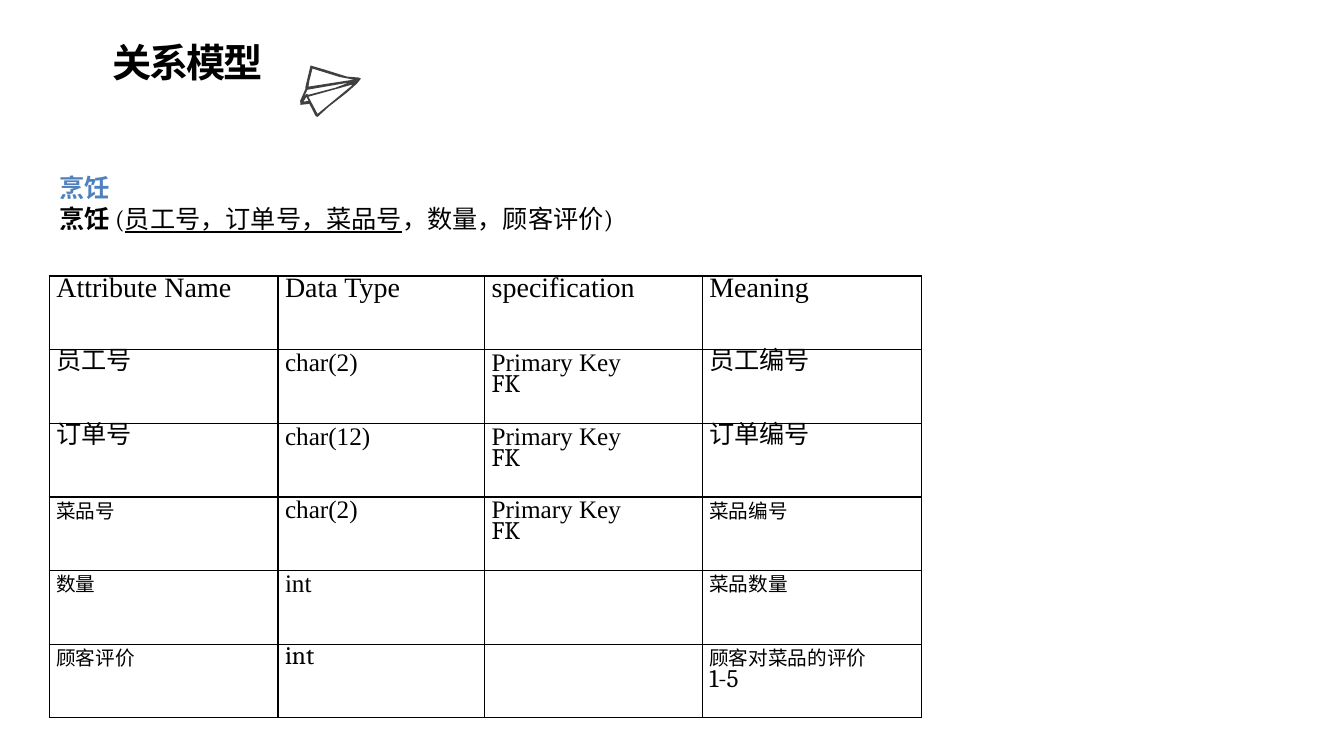
"""Build the relational model slide for the cooking relation."""
import pptx
import pptx.dml.color
import pptx.enum.text
import pptx.oxml
import pptx.oxml.ns
import pptx.util

Pt = pptx.util.Pt
ALIGN = pptx.enum.text.PP_ALIGN
ANCHOR = pptx.enum.text.MSO_ANCHOR
HAN, SERIF, ROMAN = "Noto Sans CJK SC", "Cambria", "Times New Roman"
BLACK, BLUE, GREY = "000000", "4F81BD", "404040"

TITLE = [[("关系模型", HAN, 28, BLACK, {"bold": True})]]
RELATION = [
    [("烹饪", HAN, 18, BLUE, {"bold": True})],
    [
        ("烹饪", SERIF, 18, BLACK, {"bold": True}),
        (" (", SERIF, 18, BLACK, {}),
        ("员工号，订单号，菜品号", SERIF, 18, BLACK, {"underline": True}),
        ("，数量，顾客评价)", SERIF, 18, BLACK, {}),
    ],
]

HEAD, LARGE, SMALL, TYPE, NOTE = (ROMAN, 20), (HAN, 18), (HAN, 14), (ROMAN, 18), (SERIF, 18)
KEY = [("Primary Key", TYPE), ("FK", NOTE)]
ATTRIBUTES = [
    [[(name, HEAD)] for name in ("Attribute Name", "Data Type", "specification", "Meaning")],
    [[("员工号", LARGE)], [("char(2)", TYPE)], KEY, [("员工编号", LARGE)]],
    [[("订单号", LARGE)], [("char(12)", TYPE)], KEY, [("订单编号", LARGE)]],
    [[("菜品号", SMALL)], [("char(2)", TYPE)], KEY, [("菜品编号", SMALL)]],
    [[("数量", SMALL)], [("int", TYPE)], [], [("菜品数量", SMALL)]],
    [[("顾客评价", SMALL)], [("int ", NOTE)], [], [("顾客对菜品的评价", SMALL), ("1-5", NOTE)]],
]
COLUMN_WIDTHS = [163.4, 147.6, 155.5, 156.3]
ROW_HEIGHT = 52.6
TABLE_LEFT, TABLE_TOP = 35.2, 197.2

PLANE = [
    [(257.8, 56.2), (254.9, 59.8), (247.7, 66.2), (234.7, 76.3), (226.8, 83.5),
     (225.4, 82.8), (221, 74.2), (214.6, 74.9), (214.4, 72), (218.2, 63.4),
     (218.2, 61.9), (221.8, 46.8), (231.8, 49.7), (247.7, 54.7), (256.3, 55.4)],
    [(223.2, 49), (221, 57.6), (220.3, 61.9), (243.4, 58.3), (252.7, 56.9), (242.6, 55)],
    [(220.3, 69.1), (226.8, 81.4), (251.3, 61.2), (251.3, 60.5)],
    [(219.6, 64.1), (216.7, 69.8), (218.9, 67), (220.3, 67.7), (239.8, 62.6), (249.1, 59)],
    [(216.7, 72.7), (220.3, 72), (218.9, 69.1)],
]


def colour(hex_code):
    return pptx.dml.color.RGBColor.from_string(hex_code)


def apply(target, values):
    for name, value in values.items():
        setattr(target, name, value)


def add_run(paragraph, text, font_name, size, hex_code, extra):
    run = paragraph.add_run()
    run.text = text
    apply(run.font, {"name": font_name, "size": Pt(size), "bold": False, **extra})
    run.font.color.rgb = colour(hex_code)
    east_asian = pptx.oxml.parse_xml(
        f'<a:ea {pptx.oxml.ns.nsdecls("a")} typeface="{HAN}"/>')
    run._r.get_or_add_rPr().append(east_asian)
    return run


def write(frame, paragraphs, layout):
    for index, runs in enumerate(paragraphs):
        paragraph = frame.add_paragraph() if index else frame.paragraphs[0]
        apply(paragraph, layout)
        for run in runs:
            add_run(paragraph, *run)


def add_text(slide, box, paragraphs, frame_values, layout):
    frame = slide.shapes.add_textbox(*map(Pt, box)).text_frame
    apply(frame, {"word_wrap": True, **frame_values})
    write(frame, paragraphs, layout)
    return frame


def add_plane(slide):
    outline, *gaps = [[(Pt(x), Pt(y)) for x, y in points] for points in PLANE]
    builder = slide.shapes.build_freeform(*outline[0])
    builder.add_line_segments(outline[1:])
    for gap in gaps:
        builder.move_to(*gap[0])
        builder.add_line_segments(gap[1:])
    plane = builder.convert_to_shape()
    plane.shadow.inherit = False
    plane.fill.solid()
    plane.fill.fore_color.rgb = colour(GREY)
    plane.line.fill.background()


def add_borders(cell):
    properties = cell._tc.get_or_add_tcPr()
    for side in ("lnL", "lnR", "lnT", "lnB"):
        properties.append(pptx.oxml.parse_xml(
            f'<a:{side} {pptx.oxml.ns.nsdecls("a")} w="{Pt(1)}"><a:solidFill>'
            f'<a:srgbClr val="{BLACK}"/></a:solidFill></a:{side}>'))


def add_attributes(slide):
    table = slide.shapes.add_table(
        len(ATTRIBUTES), len(COLUMN_WIDTHS), Pt(TABLE_LEFT), Pt(TABLE_TOP),
        Pt(sum(COLUMN_WIDTHS)), Pt(ROW_HEIGHT * len(ATTRIBUTES))).table
    apply(table, {"first_row": False, "horz_banding": False})
    for column, width in zip(table.columns, COLUMN_WIDTHS):
        column.width = Pt(width)
    margins = {"margin_left": Pt(5), "margin_right": Pt(5),
               "margin_top": Pt(3.6), "margin_bottom": Pt(3.6)}
    layout = {"alignment": ALIGN.JUSTIFY, "line_spacing": Pt(15.8)}
    for row, contents in zip(table.rows, ATTRIBUTES):
        row.height = Pt(ROW_HEIGHT)
        for cell, lines in zip(row.cells, contents):
            apply(cell, margins)
            add_borders(cell)
            cell.fill.background()
            write(cell.text_frame,
                  [[(text, *style, BLACK, {})] for text, style in lines], layout)


def main():
    deck = pptx.Presentation()
    apply(deck, {"slide_width": Pt(960), "slide_height": Pt(540)})
    slide = deck.slides.add_slide(deck.slide_layouts[6])
    add_plane(slide)
    title = add_text(slide, (73.4, 27.4, 140.4, 41), TITLE,
                     {"margin_top": 0, "margin_bottom": 0}, {"alignment": ALIGN.JUSTIFY})
    title.paragraphs[0].runs[0]._r.get_or_add_rPr().set("spc", "-150")
    add_attributes(slide)
    add_text(slide, (35.2, 113, 414.7, 54), RELATION,
             {"vertical_anchor": ANCHOR.MIDDLE, "margin_top": Pt(10), "margin_bottom": 0},
             {"line_spacing": Pt(21.6)})
    deck.save("out.pptx")


if __name__ == "__main__":
    main()
